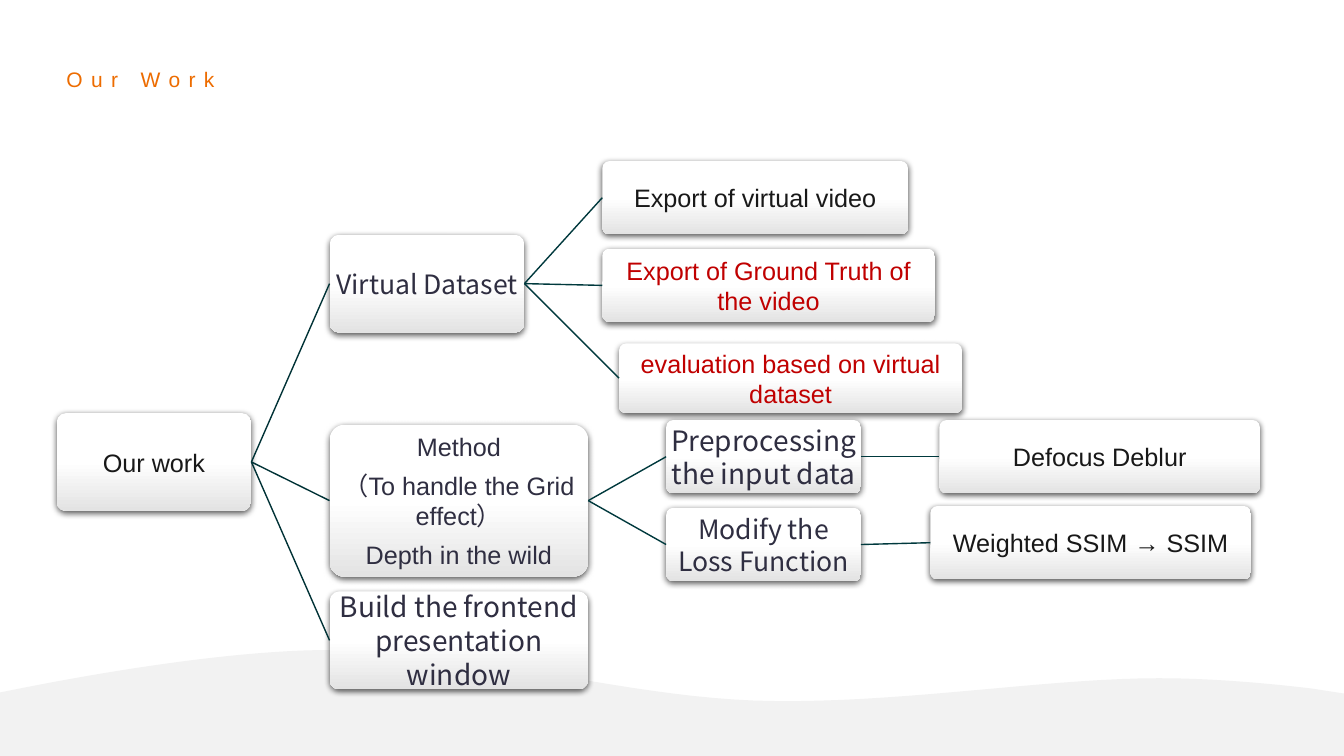
from dataclasses import dataclass

from lxml.etree import SubElement
from pptx import Presentation
from pptx.dml.color import RGBColor
from pptx.enum.shapes import MSO_CONNECTOR, MSO_SHAPE
from pptx.enum.text import MSO_ANCHOR, MSO_AUTO_SIZE, PP_ALIGN
from pptx.oxml.ns import qn
from pptx.shapes.autoshape import Shape
from pptx.slide import Slide
from pptx.util import Pt

WHITE = RGBColor(0xFF, 0xFF, 0xFF)
SILVER = RGBColor(0xE3, 0xE3, 0xE3)
WAVE_GRAY = RGBColor(0xF2, 0xF2, 0xF2)
ORANGE = RGBColor(0xED, 0x6C, 0x00)
BLACK = RGBColor(0x18, 0x18, 0x18)
INDIGO = RGBColor(0x2F, 0x2E, 0x41)
RED = RGBColor(0xC0, 0x00, 0x00)
ROOT_LINE = RGBColor(0x00, 0x32, 0x36)
BRANCH_LINE = RGBColor(0x00, 0x39, 0x3D)

SANS = "Arial"
CJK = "Noto Sans CJK SC"
ROOT = "Our work"
DATASET = "Virtual Dataset"
METHOD = "Method\n（To handle the Grid effect）\nDepth in the wild"
PREPROCESS = "Preprocessing the input data"
LOSS = "Modify the Loss Function"

Point = tuple[float, float]


@dataclass
class Node:
    text: str
    parent: str
    left: float
    top: float
    width: float
    height: float
    color: RGBColor = BLACK
    size: float = 18
    font: str = SANS


NODES = [
    Node(ROOT, "", 40.4, 295, 139.2, 70),
    Node(DATASET, ROOT, 235.4, 167.6, 139.2, 70, INDIGO, 19, CJK),
    Node("Export of virtual video", DATASET, 430.2, 115, 218.4, 52.5),
    Node("Export of Ground Truth of the video", DATASET, 430.2, 177.6, 237.6, 52.5, RED),
    Node("evaluation based on virtual dataset", DATASET, 442.2, 245.3, 245, 49.7, RED),
    Node(METHOD, ROOT, 235.4, 303.3, 184.8, 108.6, INDIGO),
    Node(PREPROCESS, METHOD, 475.8, 300, 139.2, 52.5, INDIGO, 20, CJK),
    Node("Defocus Deblur", PREPROCESS, 671, 300, 229, 52.5),
    Node(LOSS, METHOD, 475.8, 362.7, 139.2, 52.5, INDIGO, 19, CJK),
    Node("Weighted SSIM → SSIM", LOSS, 664.5, 361.4, 229, 52.5),
    Node("Build the frontend presentation window", ROOT, 235.4, 422.4, 184.8, 70, INDIGO, 20, CJK),
]

WAVE_START = (7.2, 493.2)
WAVE_CURVES = [
    [(74.9, 479.5), (160.6, 465.8), (225.4, 464.4)],
    [(231.8, 464.4), (238.3, 464.4), (245.5, 464.4)],
    [(343.4, 465.8), (442.8, 496.8), (538.6, 500.4)],
    [(641.5, 504), (755.3, 482.4), (841, 484.6)],
    [(873.4, 485.3), (906.5, 488.2), (936.7, 491.8)],
]
WAVE_EDGE = [(960, 495.4), (960, 540), (0, 540), (0, 494.6)]


def curve_points(start: Point, curve: list[Point], steps: int = 20) -> list[Point]:
    corners = [start, *curve]
    points = []
    for step in range(1, steps + 1):
        t = step / steps
        weights = ((1 - t) ** 3, 3 * t * (1 - t) ** 2, 3 * t**2 * (1 - t), t**3)
        x = sum(w * corner[0] for w, corner in zip(weights, corners))
        y = sum(w * corner[1] for w, corner in zip(weights, corners))
        points.append((x, y))
    return points


def add_wave(s: Slide) -> None:
    outline = [WAVE_START]
    for curve in WAVE_CURVES:
        outline += curve_points(outline[-1], curve)
    outline += WAVE_EDGE
    vertices = [(Pt(x), Pt(y)) for x, y in outline]
    builder = s.shapes.build_freeform(*vertices[0])
    builder.add_line_segments(vertices[1:], close=True)
    sp = builder.convert_to_shape()
    sp.shadow.inherit = False
    sp.fill.solid()
    sp.fill.fore_color.rgb = WAVE_GRAY
    sp.line.fill.background()


def add_title(s: Slide) -> None:
    sp = s.shapes.add_textbox(Pt(40.3), Pt(43.9), Pt(126.7), Pt(25.2))
    tf = sp.text_frame
    tf.word_wrap = False
    tf.auto_size = MSO_AUTO_SIZE.SHAPE_TO_FIT_TEXT
    p = tf.paragraphs[0]
    r = p.add_run()
    r.text = "Our Work"
    r.font.name, r.font.size = SANS, Pt(15)
    r.font.color.rgb = ORANGE
    r._r.get_or_add_rPr().set("spc", "600")


def add_drop_shadow(sp: Shape) -> None:
    sp.shadow.inherit = False
    effects = sp._element.spPr.find(qn("a:effectLst"))
    shadow = SubElement(
        effects, qn("a:outerShdw"),
        blurRad=str(Pt(4.5)), dist=str(Pt(1.5)), dir="5400000", rotWithShape="0",
    )
    color = SubElement(shadow, qn("a:srgbClr"), val="000000")
    SubElement(color, qn("a:alpha"), val="63000")


def add_node(s: Slide, node: Node) -> Shape:
    sp = s.shapes.add_shape(
        MSO_SHAPE.ROUNDED_RECTANGLE,
        Pt(node.left), Pt(node.top), Pt(node.width), Pt(node.height),
    )
    sp.adjustments[0] = 0.1
    sp.fill.gradient()
    sp.fill.gradient_angle = 270
    for stop, position, color in zip(sp.fill.gradient_stops, (0.5, 1), (WHITE, SILVER)):
        stop.position = position
        stop.color.rgb = color
    sp.line.fill.background()
    add_drop_shadow(sp)

    tf = sp.text_frame
    tf.word_wrap = True
    tf.vertical_anchor = MSO_ANCHOR.MIDDLE
    tf.margin_left = tf.margin_right = tf.margin_top = tf.margin_bottom = Pt(0.7)
    tf.text = node.text
    for p in tf.paragraphs:
        p.alignment = PP_ALIGN.CENTER
        p.space_after = Pt(6.3)
        p.font.name, p.font.size = node.font, Pt(node.size)
        p.font.color.rgb = node.color
    return sp


def add_branch(s: Slide, parent: Shape, child: Shape, color: RGBColor) -> None:
    line = s.shapes.add_connector(MSO_CONNECTOR.STRAIGHT, 0, 0, 0, 0)
    line.begin_connect(parent, 3)
    line.end_connect(child, 1)
    line.line.color.rgb = color
    line.line.width = Pt(1)
    SubElement(line._element.spPr, qn("a:effectLst"))


def main() -> None:
    prs = Presentation()
    prs.slide_width, prs.slide_height = Pt(960), Pt(540)
    s = prs.slides.add_slide(prs.slide_layouts[6])
    add_wave(s)
    add_title(s)
    boxes: dict[str, Shape] = {}
    for node in NODES:
        boxes[node.text] = add_node(s, node)
        if node.parent:
            color = ROOT_LINE if node.parent == ROOT else BRANCH_LINE
            add_branch(s, boxes[node.parent], boxes[node.text], color)
    prs.save("out.pptx")


if __name__ == "__main__":
    main()
